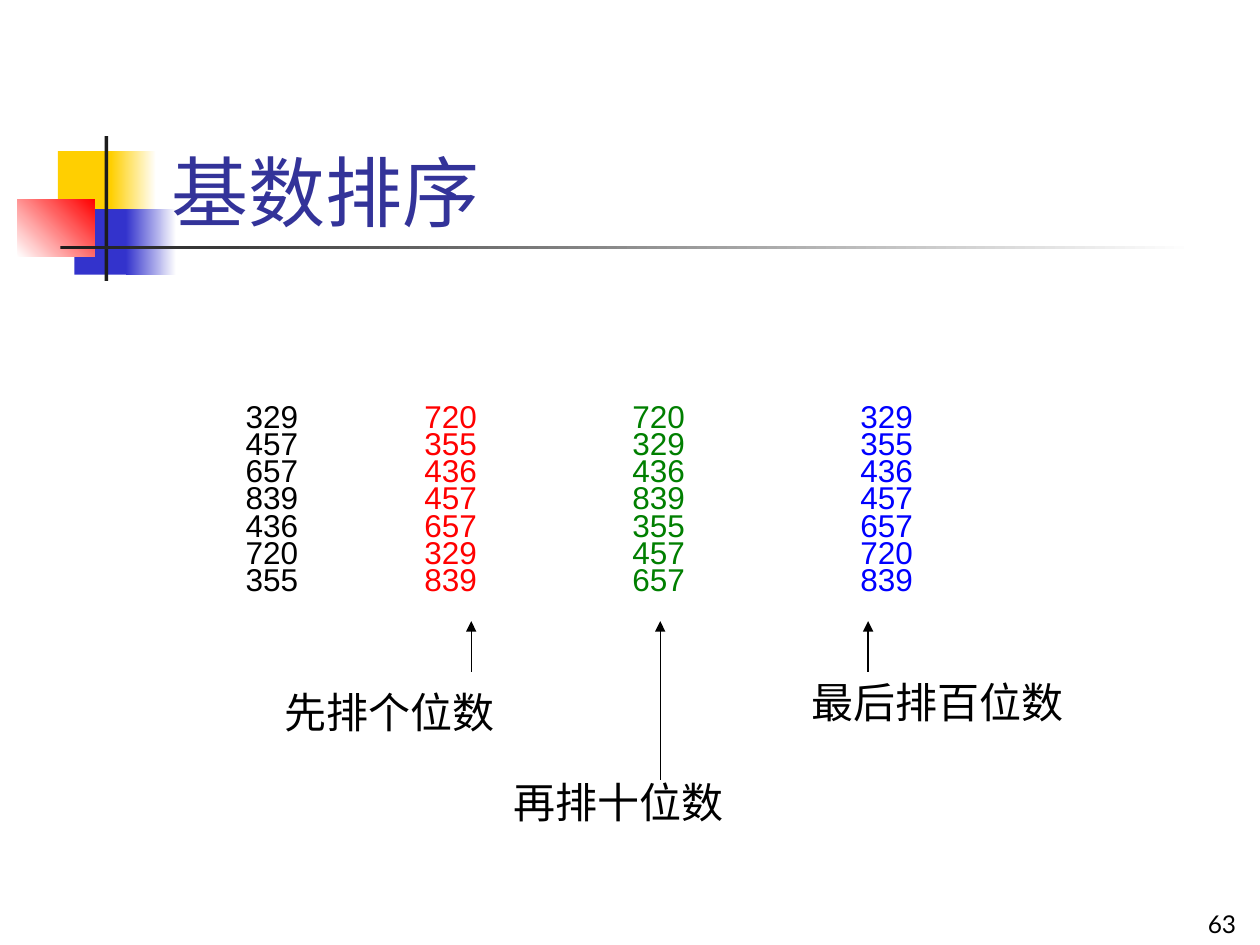
from lxml import etree
from pptx import Presentation
from pptx import util as u
from pptx.dml.color import RGBColor
from pptx.enum import shapes, text
from pptx.oxml import ns

WIDTH, HEIGHT = 10, 7.5
BLACK = "000000"
COLUMN_TOP, COLUMN_WIDTH, COLUMN_HEIGHT = 3.28, 1.18, 1.64
ARROW_TIP = 4.93

BLOCKS = [
    ((0.46, 1.2, 0.48, 0.52), ["FFCF01"], 0),
    ((0.88, 1.2, 0.36, 0.52), ["FFCF01", "FFFFFF"], 0),
    ((0.59, 1.66, 0.46, 0.52), ["3333CC"], 0),
    ((1, 1.66, 0.4, 0.52), ["3333CC", "FFFFFF"], 0),
    ((0.14, 1.58, 0.61, 0.46), ["FFFFFF", "FF0000"], 45),
    ((0.83, 1.08, 0.03, 1.15), ["1C1C1C"], 0),
    ((0.48, 1.95, 9, 0.03), ["1C1C1C", "FFFFFF"], 0),
]
COLUMNS = [
    (1.85, BLACK, "329 457 657 839 436 720 355"),
    (3.27, "FF0000", "720 355 436 457 657 329 839"),
    (4.92, "007F00", "720 329 436 839 355 457 657"),
    (6.73, "0000FF", "329 355 436 457 657 720 839"),
]
ARROWS = [(3.74, 5.33), (5.24, 6.19), (6.89, 5.33)]
CAPTIONS = [
    ("先排个位数", (2.16, 5.4, 2.2, 0.57)),
    ("再排十位数", (3.98, 6.11, 2.2, 0.57)),
    ("最后排百位数", (6.34, 5.32, 2.68, 0.57)),
]


def color(value):
    """Turn a hex string into a colour."""
    return RGBColor.from_string(value)


def inches(lengths):
    """Convert several lengths in inches."""
    return [u.Inches(length) for length in lengths]


def style_span(span, size, font, value):
    """Set the size, font and colour of a run."""
    span.font.size = u.Pt(size)
    span.font.name = font
    span.font.color.rgb = color(value)


def space_before(para, percent):
    """Set the space above a paragraph as a share of its line."""
    space = etree.SubElement(para._p.get_or_add_pPr(), ns.qn("a:spcBef"))
    etree.SubElement(space, ns.qn("a:spcPct"), val=str(percent * 1000))


def add_block(page, place, colors, angle):
    """Draw a borderless rectangle, plain or with a gradient."""
    block = page.shapes.add_shape(shapes.MSO_SHAPE.RECTANGLE, *inches(place))
    block.shadow.inherit = False
    block.line.fill.background()
    if len(colors) == 1:
        block.fill.solid()
        block.fill.fore_color.rgb = color(colors[0])
        return
    block.fill.gradient()
    block.fill.gradient_angle = angle
    for position, (stop, value) in enumerate(zip(block.fill.gradient_stops, colors)):
        stop.position = position
        stop.color.rgb = color(value)


def add_title(page, wording):
    """Fill the title placeholder and bring it in front of the blocks."""
    title = page.shapes.title
    title.left, title.top, title.width, title.height = inches((1.26, 0.68, 8.52, 1.25))
    frame = title.text_frame
    frame.text = wording
    frame.vertical_anchor = text.MSO_ANCHOR.BOTTOM
    frame.paragraphs[0].alignment = text.PP_ALIGN.LEFT
    style_span(frame.paragraphs[0].runs[0], 44, "Lato", "333399")
    page.shapes._spTree.append(title._element)


def add_text(page, place, wording, size, value, line_spacing=None):
    """Add a growing text box with half a line above each paragraph."""
    frame = page.shapes.add_textbox(*inches(place)).text_frame
    frame.word_wrap = True
    frame.auto_size = text.MSO_AUTO_SIZE.SHAPE_TO_FIT_TEXT
    frame.text = wording
    for para in frame.paragraphs:
        para.line_spacing = line_spacing
        space_before(para, 50)
        style_span(para.runs[0], size, "Arial", value)


def add_arrow(page, x, start):
    """Draw an upward arrow towards a number column."""
    arrow = page.shapes.add_connector(
        shapes.MSO_CONNECTOR.STRAIGHT, *inches((x, start, x, ARROW_TIP)))
    arrow.line.color.rgb = color(BLACK)
    arrow.line.width = u.Pt(0.75)
    etree.SubElement(arrow.line._get_or_add_ln(), ns.qn("a:tailEnd"), type="triangle")
    etree.SubElement(arrow._element.spPr, ns.qn("a:effectLst"))


def add_page_number(page, number):
    """Write the page number in the lower right corner."""
    frame = page.shapes.add_textbox(*inches((7.83, 7, 2.08, 0.5))).text_frame
    frame.word_wrap = True
    frame.vertical_anchor = text.MSO_ANCHOR.BOTTOM
    frame.text = number
    frame.paragraphs[0].alignment = text.PP_ALIGN.RIGHT
    style_span(frame.paragraphs[0].runs[0], 14, "Lato", BLACK)


def main():
    """Build the radix sort slide."""
    deck = Presentation()
    deck.slide_width, deck.slide_height = inches((WIDTH, HEIGHT))
    page = deck.slides.add_slide(deck.slide_layouts[5])
    for place, colors, angle in BLOCKS:
        add_block(page, place, colors, angle)
    add_title(page, "基数排序")
    for left, value, numbers in COLUMNS:
        place = (left, COLUMN_TOP, COLUMN_WIDTH, COLUMN_HEIGHT)
        add_text(page, place, "\n".join(numbers.split()), 18, value, 0.3)
    for x, start in ARROWS:
        add_arrow(page, x, start)
    for wording, place in CAPTIONS:
        add_text(page, place, wording, 24, BLACK)
    add_page_number(page, "63")
    deck.save("out.pptx")


if __name__ == "__main__":
    main()
